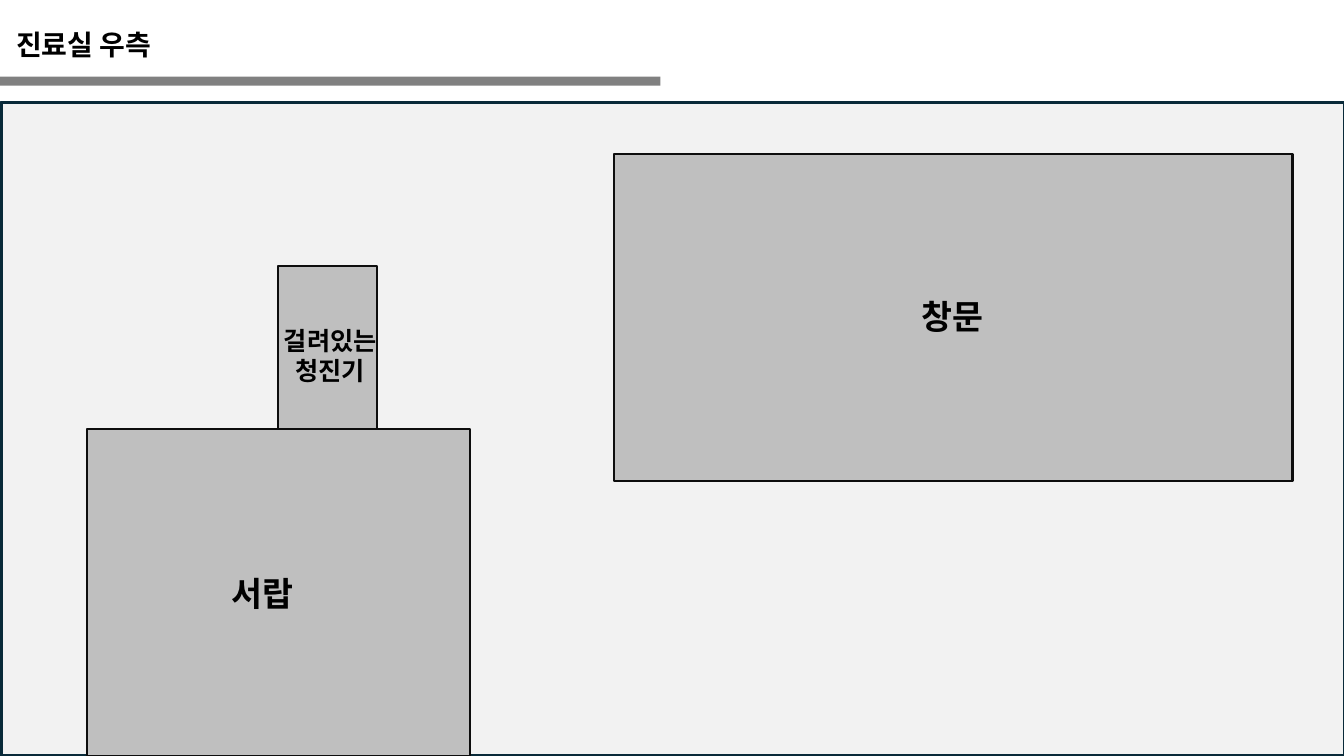
from lxml.etree import SubElement
from pptx import Presentation
from pptx.dml.color import RGBColor
from pptx.enum.shapes import MSO_SHAPE as Shape
from pptx.enum.text import MSO_ANCHOR as Anchor, PP_ALIGN as Align
from pptx.oxml.ns import qn
from pptx.util import Inches, Pt

SLIDE_W, SLIDE_H = 13.33, 7.5
FONT = "Noto Sans CJK KR"
BLACK = RGBColor(0x00, 0x00, 0x00)
RULE_GRAY = RGBColor(0x80, 0x80, 0x80)
WALL_FILL = RGBColor(0xF2, 0xF2, 0xF2)
WALL_EDGE = RGBColor(0x09, 0x2A, 0x39)
ITEM_FILL = RGBColor(0xBF, 0xBF, 0xBF)
ITEM_EDGE = RGBColor(0x0D, 0x0D, 0x0D)

# Furniture: name, rectangle, label rectangle, label size
ITEMS = [
    ("창문", (6.09, 1.53, 6.73, 3.24), (8.17, 2.89, 2.56, 0.5), 24),
    ("서랍", (0.86, 4.26, 3.8, 3.24), (1.32, 5.63, 2.56, 0.5), 24),
    ("걸려있는\n청진기", (2.76, 2.64, 0.98, 1.62), (2.67, 3.18, 1.21, 0.71), 18),
]


def add_block(slide, area, fill, edge=None, weight=0):
    block = slide.shapes.add_shape(Shape.RECTANGLE, *map(Inches, area))
    block.shadow.inherit = False
    block.fill.solid()
    block.fill.fore_color.rgb = fill
    if edge is None:
        block.line.fill.background()
    else:
        block.line.color.rgb = edge
        block.line.width = Pt(weight)


def add_label(slide, text, area, size, align=Align.CENTER, inset=0.1):
    frame = slide.shapes.add_textbox(*map(Inches, area)).text_frame
    frame.word_wrap = True
    frame.vertical_anchor = Anchor.TOP
    frame.margin_left = Inches(inset)
    frame.text = text
    for line in frame.paragraphs:
        line.alignment = align
        for run in line.runs:
            font = run.font
            font.name, font.size, font.bold = FONT, Pt(size), True
            font.color.rgb = BLACK
            # Hangul takes its typeface from the East Asian slot
            SubElement(run._r.get_or_add_rPr(), qn("a:ea"), typeface=FONT)


def main():
    deck = Presentation()
    deck.slide_width, deck.slide_height = Inches(SLIDE_W), Inches(SLIDE_H)
    slide = deck.slides.add_slide(deck.slide_layouts[6])

    # Heading with its rule
    add_block(slide, (0, 0.76, 6.55, 0.09), RULE_GRAY)
    add_label(slide, "진료실 우측", (0, 0.22, 4.66, 0.44), 20,
              align=Align.LEFT, inset=0.16)

    # Wall of the room, down to the slide's lower edge
    wall_top = 1.02
    add_block(slide, (0.01, wall_top, SLIDE_W, SLIDE_H - wall_top),
              WALL_FILL, WALL_EDGE, 2.25)

    # Objects along the wall
    for name, area, label_area, size in ITEMS:
        add_block(slide, area, ITEM_FILL, ITEM_EDGE, 1.5)
        add_label(slide, name, label_area, size)

    deck.save("out.pptx")


if __name__ == "__main__":
    main()
